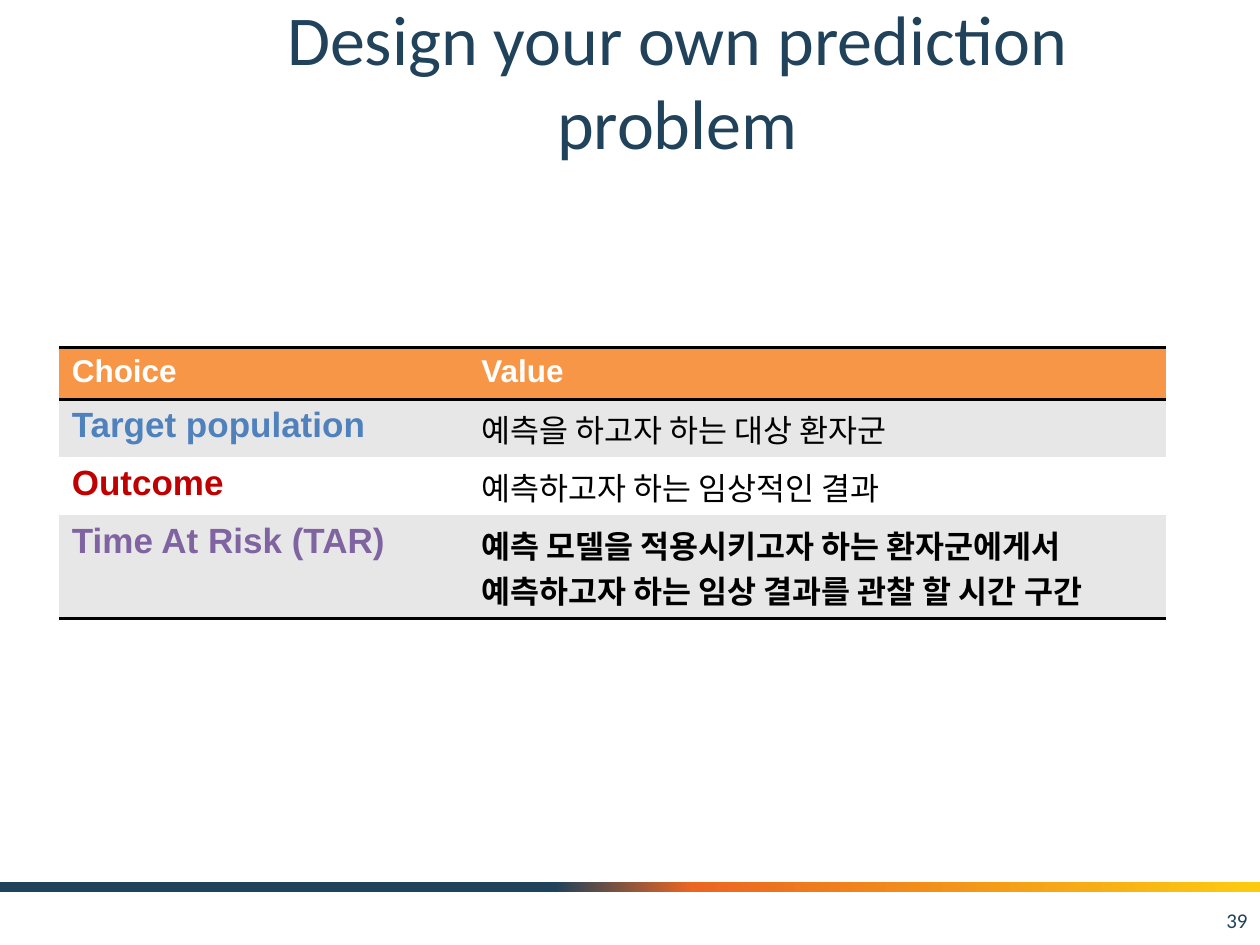
from lxml.etree import SubElement
from pptx import Presentation
from pptx.dml.color import RGBColor
from pptx.enum.shapes import MSO_SHAPE
from pptx.enum.text import MSO_ANCHOR, PP_ALIGN
from pptx.oxml import parse_xml
from pptx.oxml.ns import nsdecls, qn
from pptx.util import Inches, Pt

NAVY = "20425A"
ORANGE = "F79646"
GRAY = "E7E7E7"
WHITE = "FFFFFF"
BLACK = "000000"
NO_STYLE = "{2D5ABB26-0587-4C30-8999-92F81FD0307C}"
STOPS = [(0, NAVY), (44, NAVY), (55, "EB6622"), (100, "FCCB10")]
HEADERS = ["Choice", "Value"]
ROW_HEIGHTS = [0.41, 0.46, 0.46, 0.82]
CHOICES = [
    ("Target population", "4F81BD", "예측을 하고자 하는 대상 환자군", False),
    ("Outcome", "C00000", "예측하고자 하는 임상적인 결과", False),
    ("Time At Risk (TAR)", "8064A2",
     "예측 모델을 적용시키고자 하는 환자군에게서 예측하고자 하는 임상 결과를 관찰 할 시간 구간", True),
]


def rgb(value):
    return RGBColor.from_string(value)


def style(p, size, color, name, bold=False):
    p.font.size = Pt(size)
    p.font.color.rgb = rgb(color)
    p.font.name = name
    p.font.bold = bold


def add_text(s, box, text, size, align, inset):
    tf = s.shapes.add_textbox(*map(Inches, box)).text_frame
    tf.word_wrap = True
    tf.vertical_anchor = MSO_ANCHOR.MIDDLE
    tf.margin_top = tf.margin_bottom = Inches(inset)
    p = tf.paragraphs[0]
    p.text = text
    p.alignment = align
    style(p, size, NAVY, "Calibri")


def add_band(s, box):
    sp = s.shapes.add_shape(MSO_SHAPE.RECTANGLE, *map(Inches, box))
    sp.shadow.inherit = False
    sp.line.fill.background()
    sp.fill.gradient()
    sp.fill.gradient_angle = 0
    stops = sp._element.spPr.find(qn("a:gradFill")).find(qn("a:gsLst"))
    for gs in list(stops):
        stops.remove(gs)
    for pos, color in STOPS:
        gs = SubElement(stops, qn("a:gs"), pos=str(pos * 1000))
        SubElement(gs, qn("a:srgbClr"), val=color)


def add_borders(cell, sides):
    tcPr = cell._tc.get_or_add_tcPr()
    for i, side in enumerate(sides):
        tcPr.insert(i, parse_xml(
            f'<a:ln{side} {nsdecls("a")} w="{Pt(2)}"><a:solidFill>'
            f'<a:srgbClr val="{BLACK}"/></a:solidFill></a:ln{side}>'))


def fill_cell(cell, text, size, color, bold, fill, sides):
    cell.fill.solid()
    cell.fill.fore_color.rgb = rgb(fill)
    cell.text = text
    style(cell.text_frame.paragraphs[0], size, color, "Arial", bold)
    add_borders(cell, sides)


def add_choice_table(s, box):
    n = len(CHOICES)
    table = s.shapes.add_table(n + 1, 2, *map(Inches, box)).table
    table.first_row = table.horz_banding = False
    table._tbl.tblPr.find(qn("a:tableStyleId")).text = NO_STYLE
    table.columns[0].width = Inches(3.25)
    table.columns[1].width = Inches(box[2] - 3.25)
    for row, height in zip(table.rows, ROW_HEIGHTS):
        row.height = Inches(height)
    for c, header in enumerate(HEADERS):
        fill_cell(table.cell(0, c), header, 18, WHITE, True, ORANGE, "TB")
    for r, (choice, color, value, bold) in enumerate(CHOICES, 1):
        fill = GRAY if r % 2 else WHITE
        sides = "B" if r == n else ""
        fill_cell(table.cell(r, 0), choice, 20, color, True, fill, sides)
        fill_cell(table.cell(r, 1), value, 18, BLACK, bold, fill, sides)


def main():
    prs = Presentation()
    prs.slide_width, prs.slide_height = Inches(10), Inches(7.5)
    s = prs.slides.add_slide(prs.slide_layouts[6])
    add_band(s, (0, 7, 10, 0.08))
    add_text(s, (1.25, 0.17, 8.25, 0.92), "Design your own prediction problem",
             40, PP_ALIGN.CENTER, 0.1)
    add_text(s, (7.67, 7.1, 2.33, 0.4), "39", 12, PP_ALIGN.RIGHT, 0.05)
    add_choice_table(s, (0.47, 2.76, 8.78, sum(ROW_HEIGHTS)))
    prs.save("out.pptx")


if __name__ == "__main__":
    main()
